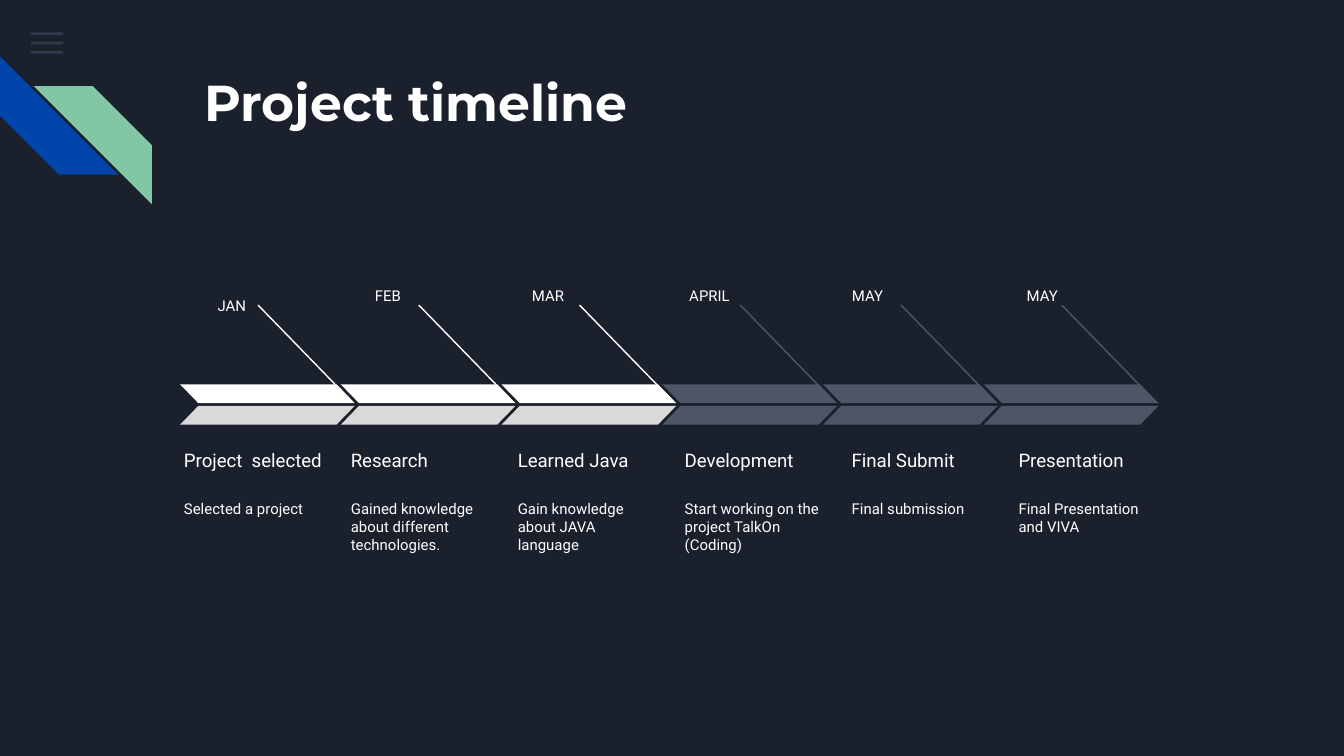
from dataclasses import dataclass
from typing import Optional

from lxml import etree
from pptx import Presentation
from pptx import util as u
from pptx.dml.color import RGBColor
from pptx.enum import shapes, text
from pptx.oxml import ns


@dataclass(frozen=True)
class Theme:
    background: str = "1B212C"
    white: str = "FFFFFF"
    done_lower: str = "D9D9D9"
    pending: str = "4E5567"
    menu: str = "55688B"
    blue: str = "0145AC"
    green: str = "82C7A5"
    heading_font: str = "Montserrat"
    body_font: str = "Roboto"
    title_size: int = 27
    stage_size: int = 10
    small_size: int = 8


@dataclass(frozen=True)
class Columns:
    first: float
    last: float
    width: float
    count: int = 6

    def at(self, index: int) -> float:
        return self.first + (self.last - self.first) * index / (self.count - 1)


@dataclass(frozen=True)
class Box:
    left: float
    top: float
    width: float
    height: float

    def emu(self) -> tuple[int, ...]:
        return tuple(u.Inches(v) for v in (self.left, self.top, self.width, self.height))


@dataclass(frozen=True)
class Milestone:
    month: str
    month_left: float
    stage: str
    detail: str
    done: bool = False
    month_top: float = 2.03


THEME = Theme()
SLIDE_WIDTH = 10
SLIDE_HEIGHT = SLIDE_WIDTH * 9 / 16

# Inches: one set of columns for the arrows, one for the captions
ARROWS = Columns(1.34, 7.32, 1.3)
CAPTIONS = Columns(1.27, 7.48, 1.25)
UPPER_ROW, LOWER_ROW, ARROW_HEIGHT = 2.86, 3.02, 0.14
STAGE_ROW, DETAIL_ROW = 3.17, 3.62
LEADER_TOP, LEADER_BOTTOM, LEADER_INDENT, LEADER_RUN = 2.27, 2.99, 0.58, 0.7

MILESTONES = [
    Milestone("JAN", 1.52, "Project  selected", "Selected a project", True, 2.11),
    Milestone("FEB", 2.69, "Research", "Gained knowledge about different technologies.", True),
    Milestone("MAR", 3.86, "Learned Java", "Gain knowledge about JAVA language", True),
    Milestone("APRIL", 5.03, "Development", "Start working on the project TalkOn (Coding)"),
    Milestone("MAY", 6.24, "Final Submit", "Final submission"),
    Milestone("MAY", 7.54, "Presentation", "Final Presentation and VIVA"),
]


def add_filled(slide, preset, box: Box, color: str, adjust: Optional[float] = None,
               flip: bool = False, rotation: int = 0, alpha: Optional[int] = None) -> None:
    shape = slide.shapes.add_shape(preset, *box.emu())
    shape.shadow.inherit = False
    shape.fill.solid()
    shape.fill.fore_color.rgb = RGBColor.from_string(color)
    shape.line.fill.background()
    shape.rotation = rotation
    if adjust is not None:
        shape.adjustments[0] = adjust
    if flip:
        shape._element.spPr.find(ns.qn("a:xfrm")).set("flipH", "1")
    if alpha is not None:
        srgb = shape._element.spPr.find(".//" + ns.qn("a:srgbClr"))
        etree.SubElement(srgb, ns.qn("a:alpha")).set("val", str(alpha * 1000))


def add_label(slide, box: Box, wording: str, size: int, font: str = THEME.body_font,
              bold: bool = False, anchor=text.MSO_ANCHOR.TOP, space_after: int = 0) -> None:
    frame = slide.shapes.add_textbox(*box.emu()).text_frame
    frame.word_wrap = True
    frame.auto_size = text.MSO_AUTO_SIZE.NONE
    frame.vertical_anchor = anchor
    frame.margin_left = frame.margin_right = u.Inches(0.1)
    frame.margin_top = frame.margin_bottom = u.Inches(0.1)
    paragraph = frame.paragraphs[0]
    paragraph.line_spacing = 1.0
    paragraph.space_before = u.Pt(0)
    paragraph.space_after = u.Pt(space_after)
    run = paragraph.add_run()
    run.text = wording
    run.font.name = font
    run.font.size = u.Pt(size)
    run.font.bold = bold
    run.font.color.rgb = RGBColor.from_string(THEME.white)
    for script in ("a:ea", "a:cs"):
        etree.SubElement(run.font._element, ns.qn(script)).set("typeface", font)


def add_leader(slide, left: float, color: str) -> None:
    ends = (left, LEADER_TOP, left + LEADER_RUN, LEADER_BOTTOM)
    leader = slide.shapes.add_connector(shapes.MSO_CONNECTOR.STRAIGHT, *map(u.Inches, ends))
    leader.line.color.rgb = RGBColor.from_string(color)
    leader.line.width = u.Pt(0.75)
    etree.SubElement(leader._element.spPr, ns.qn("a:effectLst"))


def add_decoration(slide) -> None:
    for bar in range(3):
        add_filled(slide, shapes.MSO_SHAPE.RECTANGLE, Box(0.23, 0.24 + bar * 0.07, 0.24, 0.02),
                   THEME.menu, alpha=36)
    stripe = shapes.MSO_SHAPE.DIAGONAL_STRIPE
    add_filled(slide, stripe, Box(0, 0.42, 0.88, 0.88), THEME.blue, 0.5, rotation=270)
    add_filled(slide, stripe, Box(0.25, 0.64, 0.88, 0.88), THEME.green, 0.5, flip=True)


def add_milestone(slide, index: int, step: Milestone) -> None:
    # Month and captions
    caption_left = CAPTIONS.at(index)
    add_label(slide, Box(step.month_left, step.month_top, 0.59, 0.23), step.month, THEME.small_size)
    add_label(slide, Box(caption_left, STAGE_ROW, CAPTIONS.width, 0.44), step.stage,
              THEME.stage_size, anchor=text.MSO_ANCHOR.BOTTOM)
    add_label(slide, Box(caption_left, DETAIL_ROW, CAPTIONS.width, 0.73), step.detail,
              THEME.small_size, space_after=16)

    # Leader and the two halves of the arrow
    arrow_left = ARROWS.at(index)
    upper = THEME.white if step.done else THEME.pending
    lower = THEME.done_lower if step.done else THEME.pending
    add_leader(slide, arrow_left + LEADER_INDENT, upper)
    for top, color, flip in ((UPPER_ROW, upper, True), (LOWER_ROW, lower, False)):
        add_filled(slide, shapes.MSO_SHAPE.PARALLELOGRAM,
                   Box(arrow_left, top, ARROWS.width, ARROW_HEIGHT), color, 0.97, flip)


def main() -> None:
    deck = Presentation()
    deck.slide_width, deck.slide_height = u.Inches(SLIDE_WIDTH), u.Inches(SLIDE_HEIGHT)
    slide = deck.slides.add_slide(deck.slide_layouts[6])
    slide.background.fill.solid()
    slide.background.fill.fore_color.rgb = RGBColor.from_string(THEME.background)

    add_decoration(slide)
    add_label(slide, Box(1.42, 0.43, 7.7, 1), "Project timeline", THEME.title_size,
              THEME.heading_font, bold=True)
    for index, step in enumerate(MILESTONES):
        add_milestone(slide, index, step)
    deck.save("out.pptx")


if __name__ == "__main__":
    main()
